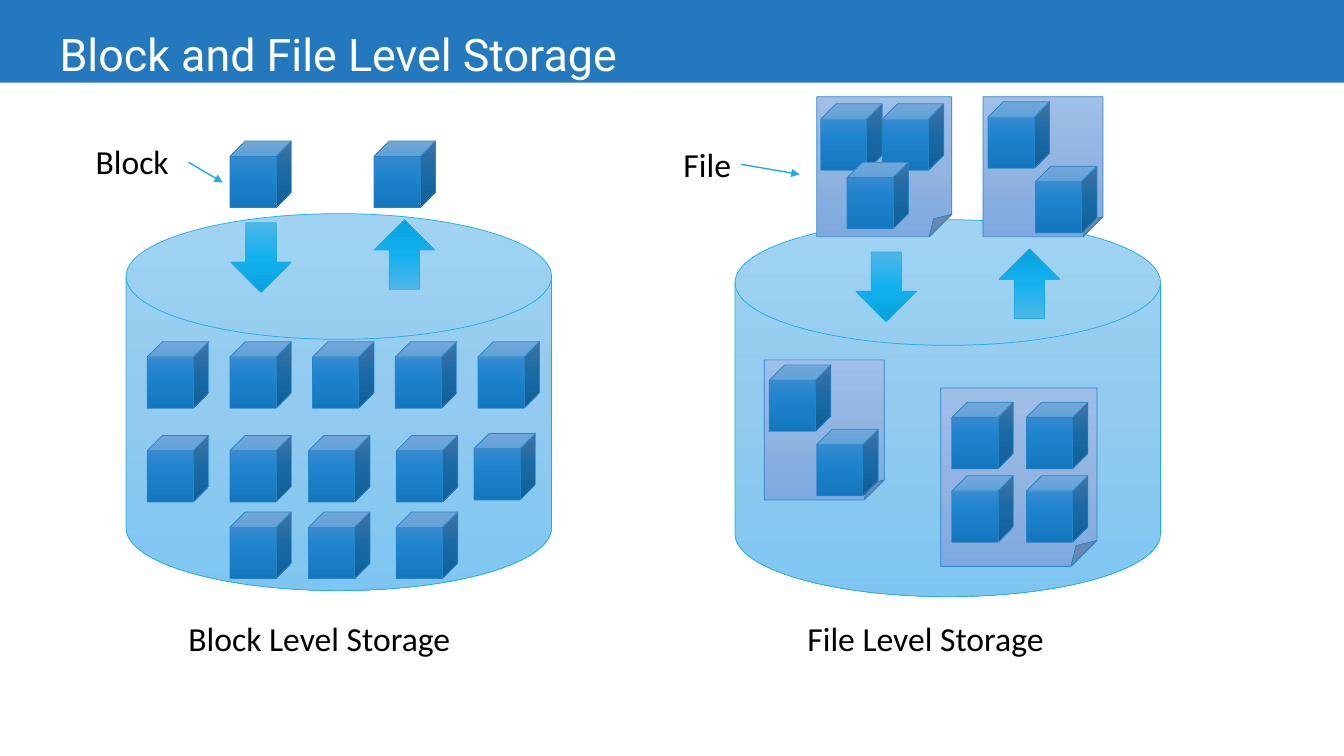
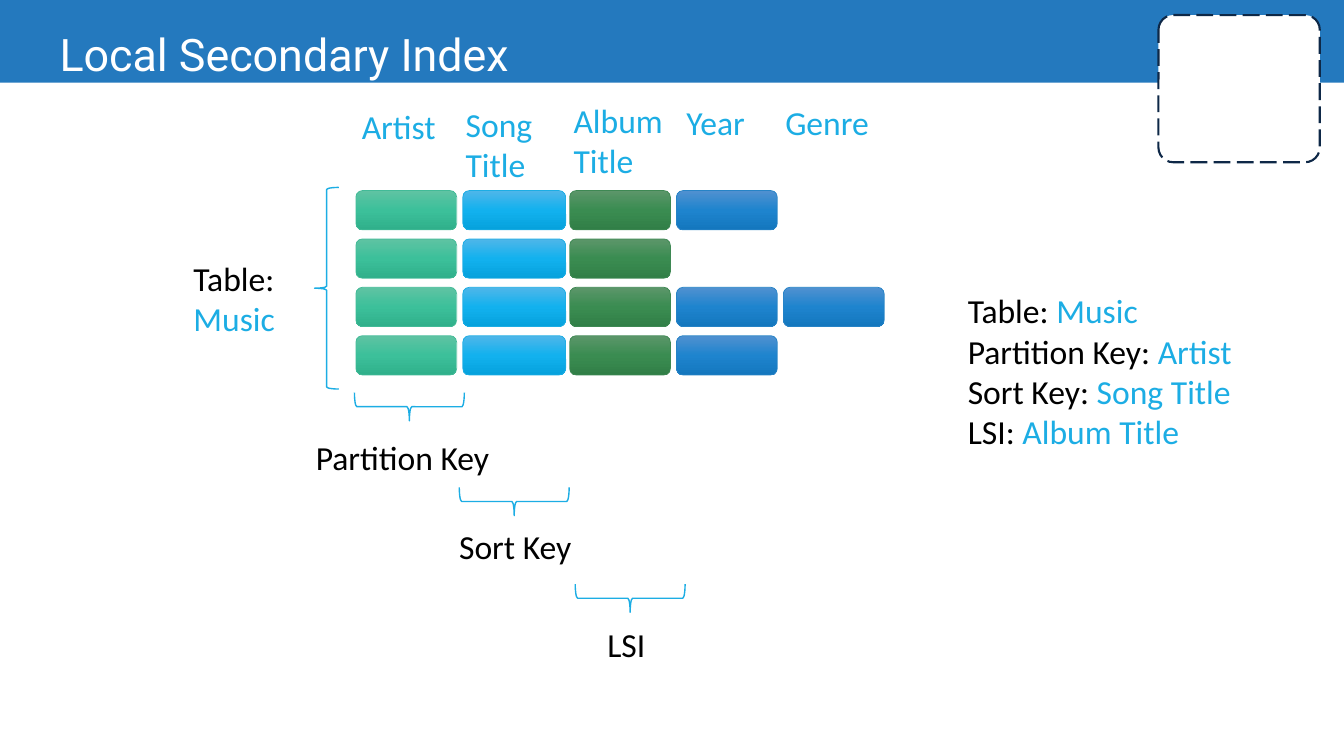
from copy import deepcopy
from dataclasses import dataclass
from typing import NamedTuple, Optional

from lxml.etree import SubElement
from pptx import Presentation
from pptx.dml.color import RGBColor
from pptx.enum.dml import MSO_LINE
from pptx.enum.shapes import MSO_CONNECTOR, MSO_SHAPE
from pptx.enum.text import MSO_ANCHOR, MSO_AUTO_SIZE, PP_ALIGN
from pptx.oxml.ns import qn
from pptx.util import Inches, Pt


class Paint(NamedTuple):
    """A three-stop vertical gradient with its outline colour."""

    top: str
    middle: str
    bottom: str
    line: str


@dataclass(frozen=True)
class Theme:
    """Colours, fonts and type sizes of the deck."""

    band: str = "2479BE"
    white: str = "FFFFFF"
    ink: str = "000000"
    accent: str = "1CADE4"
    navy: str = "0E2847"
    title_font: str = "Roboto"
    body_font: str = "Calibri"
    title_size: int = 32
    body_size: int = 24
    disk: Paint = Paint("A0D3F2", "92CBEF", "7EC6F1", "1CADE4")
    cube: Paint = Paint("5191D0", "1E84CE", "1477BE", "2683C6")
    arrow: Paint = Paint("4FB6E9", "12B1EE", "06A2DD", "1CADE4")
    sheet: Paint = Paint("9FBEE8", "92B4E0", "7EA9E0", "2683C6")
    mint: Paint = Paint("5FC3A3", "3CC09A", "30B08B", "42BA97")
    green: Paint = Paint("5C966A", "3A8C51", "317F47", "3E8853")


THEME = Theme()


class Frame(NamedTuple):
    """Position and size in inches."""

    left: float
    top: float
    width: float
    height: float

    def lengths(self) -> list:
        """Return the four values as lengths."""
        return [Inches(value) for value in self]


class Span(NamedTuple):
    """A stretch of text in one colour."""

    text: str
    color: str = THEME.ink


class Sheet(NamedTuple):
    """A file page and the offsets of the blocks on it."""

    frame: Frame
    offsets: tuple


class Key(NamedTuple):
    """A brace below the table and its label."""

    brace: Frame
    label: str
    label_left: float
    label_top: float


class Heading(NamedTuple):
    """A column heading and its place."""

    text: str
    frame: Frame


class Storage(NamedTuple):
    """One storage drum with its arrows, caption and pointed-at label."""

    disk: Frame
    down: Frame
    up: Frame
    caption: str
    caption_frame: Frame
    label: str
    label_frame: Frame
    pointer: tuple


PAIR = ((0.05, 0.05), (0.52, 0.69))
TRIO = ((0.04, 0.07), (0.65, 0.07), (0.3, 0.65))
QUAD = tuple((across, down) for across in (0.11, 0.85) for down in (0.14, 0.87))

STORAGES = (
    Storage(Frame(1.25, 2.12, 4.22, 3.74), Frame(2.29, 2.21, 0.6, 0.69),
            Frame(3.71, 2.18, 0.6, 0.69),
            "Block Level Storage", Frame(1.77, 6.08, 2.82, 0.5),
            "Block", Frame(0.85, 1.35, 0.93, 0.5), (1.87, 1.61, 2.21, 1.81)),
    Storage(Frame(7.29, 2.18, 4.22, 3.74), Frame(8.49, 2.5, 0.6, 0.69),
            Frame(9.91, 2.47, 0.6, 0.69),
            "File Level Storage", Frame(7.91, 6.08, 2.57, 0.5),
            "File", Frame(6.68, 1.38, 0.68, 0.5), (7.35, 1.63, 7.93, 1.73)),
)
BLOCKS = (
    [(1.46 + 0.82 * column, 3.39) for column in range(5)]
    + [(left, 4.32) for left in (1.46, 2.28, 3.06, 3.93)]
    + [(4.7, 4.3)]
    + [(left, 5.08) for left in (2.28, 3.06, 3.93)]
    + [(left, 1.4) for left in (2.28, 3.71)]
)
SHEETS = (
    Sheet(Frame(7.58, 3.57, 1.19, 1.39), PAIR),
    Sheet(Frame(9.33, 3.85, 1.55, 1.77), QUAD),
    Sheet(Frame(8.1, 0.96, 1.34, 1.39), TRIO),
    Sheet(Frame(9.75, 0.96, 1.19, 1.39), PAIR),
)
COLUMN_PAINTS = (THEME.mint, THEME.arrow, THEME.green, THEME.cube, THEME.cube)
ROW_LENGTHS = (4, 3, 5, 4)
KEYS = (
    Key(Frame(3.92, 3.49, 0.28, 1.09), "Partition Key ", 1.51, 4.29),
    Key(Frame(4.96, 4.43, 0.28, 1.09), "Sort Key", 2.59, 5.17),
    Key(Frame(6.11, 5.39, 0.28, 1.09), "LSI ", 3.73, 6.14),
)
HEADINGS = (
    Heading("Artist", Frame(3.49, 1, 1.06, 0.5)),
    Heading("Song Title", Frame(4.52, 0.98, 1.06, 0.91)),
    Heading("Album Title", Frame(5.59, 0.94, 1.26, 0.91)),
    Heading("Year", Frame(6.71, 0.96, 1.06, 0.5)),
    Heading("Genre", Frame(7.69, 0.96, 1.36, 0.5)),
)
FACTS = (("Table:", " Music"), ("Partition Key:", " Artist"),
         ("Sort Key:", " Song Title"), ("LSI:", " Album Title"))


def rgb(color: str) -> RGBColor:
    """Turn a hex string into a colour."""
    return RGBColor.from_string(color)


def write(para, text: str, *, color: str = THEME.ink, size: int = THEME.body_size,
          font: str = THEME.body_font) -> None:
    """Append formatted text to a paragraph."""
    span = para.add_run()
    span.text = text
    span.font.name = font
    span.font.size = Pt(size)
    span.font.color.rgb = rgb(color)


def add_text(page, frame: Frame, *lines: list, wrap: bool = True,
             align: PP_ALIGN = PP_ALIGN.LEFT) -> None:
    """Add a text box with one paragraph for each list of spans."""
    box = page.shapes.add_textbox(*frame.lengths())
    body = box.text_frame
    body.word_wrap = wrap
    body.auto_size = MSO_AUTO_SIZE.SHAPE_TO_FIT_TEXT
    for number, spans in enumerate(lines):
        para = body.add_paragraph() if number else body.paragraphs[0]
        para.alignment = align
        for span in spans:
            write(para, span.text, color=span.color)


def add_shape(page, kind: MSO_SHAPE, frame: Frame, *, fill: Optional[str] = None,
              line: Optional[str] = None, weight: float = 1, rotation: float = 0):
    """Add a preset shape with a plain fill and outline."""
    shape = page.shapes.add_shape(kind, *frame.lengths())
    shape.shadow.inherit = False
    shape.rotation = rotation
    if fill:
        shape.fill.solid()
        shape.fill.fore_color.rgb = rgb(fill)
    else:
        shape.fill.background()
    if line:
        shape.line.color.rgb = rgb(line)
        shape.line.width = Pt(weight)
    else:
        shape.line.fill.background()
    return shape


def add_painted(page, kind: MSO_SHAPE, frame: Frame, paint: Paint,
                rotation: float = 0) -> None:
    """Add a preset shape with a three-stop gradient."""
    shape = add_shape(page, kind, frame, line=paint.line, weight=0.5, rotation=rotation)
    shape.fill.gradient()
    shape.fill.gradient_angle = 270
    stops = shape._element.spPr.find(qn("a:gradFill")).find(qn("a:gsLst"))
    stops.insert(1, deepcopy(stops[0]))
    for stop, color, position in zip(shape.fill.gradient_stops, paint, (0, 0.5, 1)):
        stop.color.rgb = rgb(color)
        stop.position = position


def add_cube(page, left: float, top: float) -> None:
    """Add one storage block."""
    add_painted(page, MSO_SHAPE.CUBE, Frame(left, top, 0.61, 0.66), THEME.cube)


def add_pointer(page, ends: tuple) -> None:
    """Add a thin arrow between two points."""
    pointer = page.shapes.add_connector(
        MSO_CONNECTOR.STRAIGHT, *[Inches(value) for value in ends])
    pointer.line.color.rgb = rgb(THEME.accent)
    pointer.line.width = Pt(1)
    SubElement(pointer.line._get_or_add_ln(), qn("a:tailEnd"), type="triangle")
    SubElement(pointer._element.spPr, qn("a:effectLst"))


def add_band(deck, layout) -> None:
    """Put the title band on the layout behind its placeholders."""
    page = deck.slides[0]
    band = add_shape(page, MSO_SHAPE.RECTANGLE, Frame(0, 0, 13.33, 0.82), fill=THEME.band)
    layout.shapes._spTree.insert(2, band._element)


def add_page(deck, layout, title: str):
    """Add a page and format its title."""
    page = deck.slides.add_slide(layout)
    box = page.shapes.title
    box.left, box.top, box.width, box.height = Frame(0.49, 0.17, 11.96, 0.79).lengths()
    box.text_frame.vertical_anchor = MSO_ANCHOR.MIDDLE
    para = box.text_frame.paragraphs[0]
    para.alignment = PP_ALIGN.LEFT
    para.line_spacing = 0.9
    write(para, title, color=THEME.white, size=THEME.title_size, font=THEME.title_font)
    return page


def draw_storage(page) -> None:
    """Draw the block drum and the file drum."""
    for storage in STORAGES:
        add_painted(page, MSO_SHAPE.FLOWCHART_MAGNETIC_DISK, storage.disk, THEME.disk)
        for frame, rotation in ((storage.down, 0), (storage.up, 180)):
            add_painted(page, MSO_SHAPE.DOWN_ARROW, frame, THEME.arrow, rotation)
        add_text(page, storage.caption_frame, [Span(storage.caption)], wrap=False)
        add_text(page, storage.label_frame, [Span(storage.label)], wrap=False)
        add_pointer(page, storage.pointer)
    for left, top in BLOCKS:
        add_cube(page, left, top)
    for sheet in SHEETS:
        add_painted(page, MSO_SHAPE.FOLDED_CORNER, sheet.frame, THEME.sheet)
        for across, down in sheet.offsets:
            add_cube(page, sheet.frame.left + across, sheet.frame.top + down)


def draw_index(page) -> None:
    """Draw the music table, its keys and its summary."""
    panel = add_shape(page, MSO_SHAPE.ROUNDED_RECTANGLE, Frame(11.49, 0.15, 1.6, 1.46),
                      fill=THEME.white, line=THEME.navy, weight=1.5)
    panel.adjustments[0] = 0.1
    panel.line.dash_style = MSO_LINE.LONG_DASH
    for row, length in enumerate(ROW_LENGTHS):
        for column, paint in enumerate(COLUMN_PAINTS[:length]):
            width = 1.02 if paint is THEME.arrow else 1
            frame = Frame(3.53 + 1.06 * column, 1.89 + 0.48 * row, width, 0.39)
            add_painted(page, MSO_SHAPE.ROUNDED_RECTANGLE, frame, paint)
    for heading in HEADINGS:
        add_text(page, heading.frame, [Span(heading.text, THEME.accent)])
    for key in KEYS:
        add_shape(page, MSO_SHAPE.RIGHT_BRACE, key.brace, line=THEME.accent, rotation=90)
        add_text(page, Frame(key.label_left, key.label_top, 5.04, 0.5),
                 [Span(key.label)], align=PP_ALIGN.CENTER)
    add_shape(page, MSO_SHAPE.LEFT_BRACE, Frame(3.12, 1.86, 0.24, 2), line=THEME.accent)
    facts = [[Span(name), Span(value, THEME.accent)] for name, value in FACTS]
    add_text(page, Frame(1.82, 2.51, 1.69, 0.91), facts[0])
    add_text(page, Frame(9.5, 2.83, 2.91, 1.72), *facts, wrap=False)


def main() -> None:
    """Build and save the deck."""
    deck = Presentation()
    deck.slide_width, deck.slide_height = Inches(13.33), Inches(7.5)
    layout = deck.slide_layouts.get_by_name("Title Only")
    draw_storage(add_page(deck, layout, "Block and File Level Storage"))
    draw_index(add_page(deck, layout, "Local Secondary Index"))
    add_band(deck, layout)
    deck.save("out.pptx")


if __name__ == "__main__":
    main()
